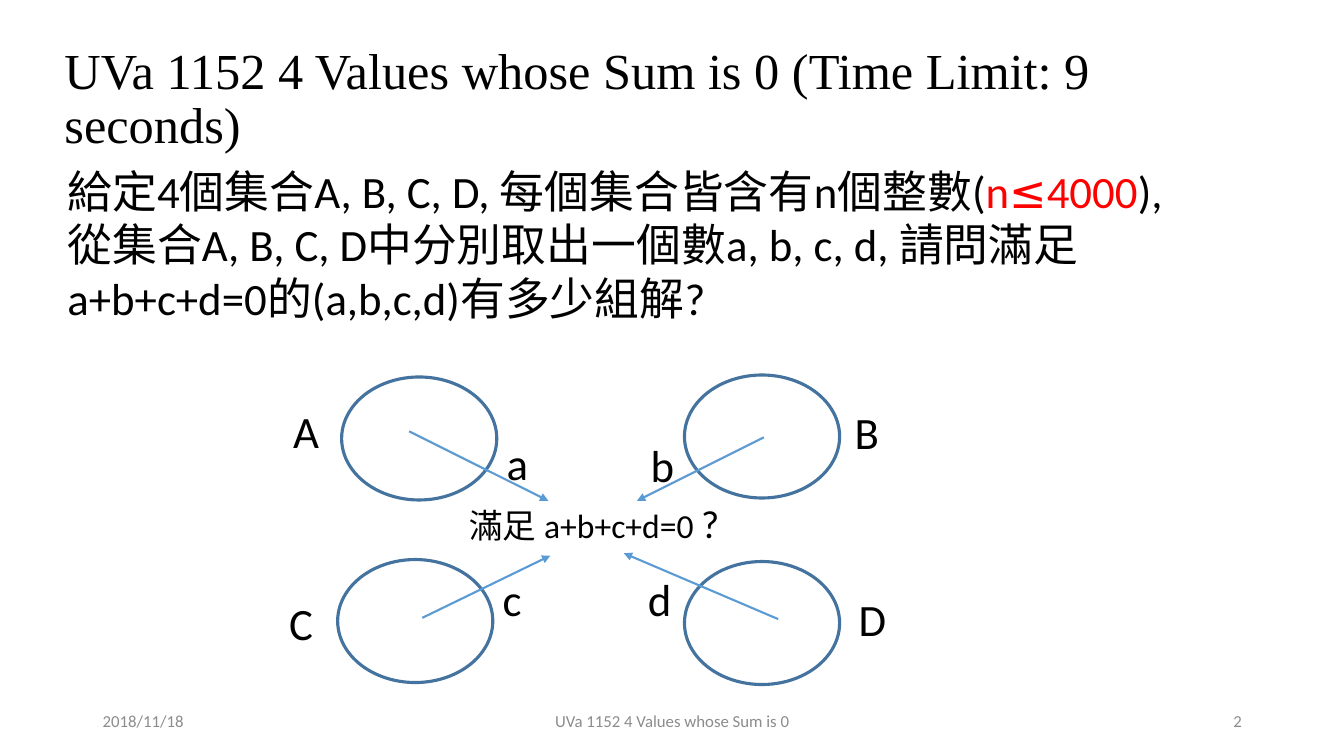
from lxml import etree
from pptx import Presentation
from pptx import util as u
from pptx.dml.color import RGBColor
from pptx.enum import shapes, text
from pptx.oxml.ns import qn

# Content: each run is (text, format values that differ from the base)
CJK = "Noto Sans CJK SC"
BASE = {"name": "Calibri", "size": 32, "color": "000000"}
RED = {"color": "FF0000"}
TITLE = "UVa 1152 4 Values whose Sum is 0 (Time Limit: 9 seconds)"
PROBLEM = [
    ("給定", {"name": CJK}),
    ("4", {}),
    ("個集合", {"name": CJK}),
    ("A, B, C, D, 每個集合皆含有n個整數(", {}),
    ("n", RED),
    ("≤", {**RED, "name": "Cabin"}),
    ("4000", RED),
    ("),從集合A, B, C, D中分別取出一個數a, b, c, d, "
     "請問滿足 a+b+c+d=0的(a,b,c,d)有多少組解?", {}),
]
QUESTION = [
    ("滿足 ", {"name": CJK, "size": 24}),
    ("a+b+c+d=0 ", {"size": 24}),
    ("?", {"size": 28}),
]
FOOTER = [
    ("2018/11/18", 2.34, 7.62, text.PP_ALIGN.LEFT),
    ("UVa 1152 4 Values whose Sum is 0", 11.23, 11.43, text.PP_ALIGN.CENTER),
    ("2", 23.93, 7.62, text.PP_ALIGN.RIGHT),
]
# Set name and place, oval place, member name and place, arrow start and end (cm)
SETS = [
    ("A", (7.14, 10.06), (8.61, 9.5), "a", (12.52, 10.85), (10.31, 10.87), (13.82, 12.62)),
    ("B", (21.29, 10.08), (17.25, 9.45), "b", (16.15, 10.9), (19.25, 11.02), (16.05, 12.62)),
    ("C", (7.04, 14.88), (8.51, 14.1), "c", (12.42, 14.27), (10.64, 15.57), (13.87, 14)),
    ("D", (21.39, 14.78), (17.25, 14.15), "d", (16.08, 14.27), (19.61, 15.6), (15.72, 13.94)),
]
OVAL_SIZE = (3.91, 3.1)
LETTER_SIZE = (1.32, 1.63)


def rgb(value):
    return RGBColor.from_string(value)


def cm(*lengths):
    return [u.Cm(length) for length in lengths]


def add_runs(paragraph, runs):
    for words, changes in runs:
        style = {**BASE, **changes}
        run = paragraph.add_run()
        run.text = words
        run.font.color.rgb = rgb(style["color"])
        for key, value in {"name": style["name"], "size": u.Pt(style["size"])}.items():
            setattr(run.font, key, value)
        # East Asian typeface follows the Latin one
        latin = run.font._element.find(qn("a:latin"))
        east_asian = etree.Element(qn("a:ea"), typeface=CJK)
        latin.addnext(east_asian)


def add_text(place, size, runs, align=text.PP_ALIGN.LEFT, anchor=text.MSO_ANCHOR.TOP):
    box = slide.shapes.add_textbox(*cm(*place, *size))
    frame = box.text_frame
    frame.word_wrap = True
    frame.vertical_anchor = anchor
    frame.paragraphs[0].alignment = align
    add_runs(frame.paragraphs[0], runs)


def add_oval(place):
    oval = slide.shapes.add_shape(shapes.MSO_SHAPE.OVAL, *cm(*place, *OVAL_SIZE))
    oval.shadow.inherit = False
    oval.fill.background()
    oval.line.color.rgb = rgb("43739E")
    oval.line.width = u.Pt(2.25)


def add_arrow(start, end):
    arrow = slide.shapes.add_connector(shapes.MSO_CONNECTOR.STRAIGHT, *cm(*start, *end))
    arrow.line.color.rgb = rgb("5B9BD5")
    arrow.line.width = u.Pt(1.5)
    properties = arrow._element.spPr
    etree.SubElement(properties.find(qn("a:ln")), qn("a:tailEnd"), type="triangle")
    etree.SubElement(properties, qn("a:effectLst"))


presentation = Presentation()
presentation.slide_width, presentation.slide_height = cm(33.87, 19.05)
slide = presentation.slides.add_slide(presentation.slide_layouts[5])

# Title
title = slide.shapes.title
title.left, title.top, title.width, title.height = cm(1.37, 0.69, 31.01, 3.68)
frame = title.text_frame
for key, value in {"word_wrap": True, "auto_size": text.MSO_AUTO_SIZE.NONE,
                   "vertical_anchor": text.MSO_ANCHOR.MIDDLE}.items():
    setattr(frame, key, value)
heading = frame.paragraphs[0]
heading.alignment = text.PP_ALIGN.LEFT
heading.line_spacing = 0.9
add_runs(heading, [(TITLE, {"name": "Times New Roman", "size": 36})])

# Footer
for words, left, width, align in FOOTER:
    add_text((left, 17.65), (width, 1.02), [(words, {"size": 12, "color": "8C8C8C"})],
             align, text.MSO_ANCHOR.MIDDLE)

# Problem statement
add_text((1.45, 3.99), (28.35, 4.37), PROBLEM)

# Four sets, each with one member led to the question
for name, name_at, oval_at, member, member_at, start, end in SETS:
    add_oval(oval_at)
    add_text(name_at, LETTER_SIZE, [(name, {})])
    add_arrow(start, end)
    add_text(member_at, LETTER_SIZE, [(member, {})])
add_text((11.58, 12.45), (7.14, 1.45), QUESTION)

presentation.save("out.pptx")
